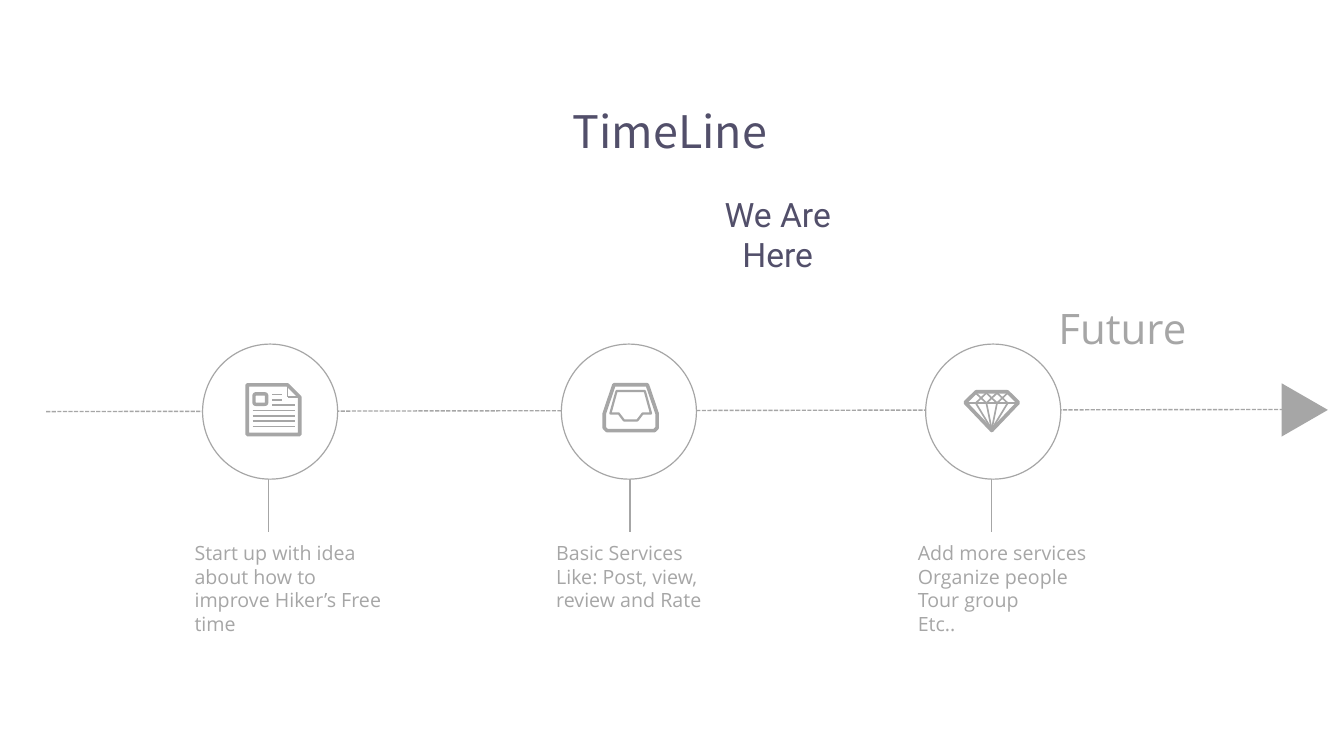
from pptx import Presentation
from pptx.dml.color import RGBColor
from pptx.enum import dml, shapes, text
from pptx.util import Pt
from lxml import etree

COLORS = {"grey": "A6A6A6", "purple": "524F6A", "white": "FFFFFF"}
GREY, PURPLE, WHITE = (RGBColor.from_string(c) for c in COLORS.values())
A = "{http://schemas.openxmlformats.org/drawingml/2006/main}"
LEFT, CENTER = text.PP_ALIGN.LEFT, text.PP_ALIGN.CENTER

prs = Presentation()
prs.slide_width, prs.slide_height = Pt(960), Pt(540)
s = prs.slides.add_slide(prs.slide_layouts[5])


def add_line(x1, y1, x2, y2, width=1):
    line = s.shapes.add_connector(shapes.MSO_CONNECTOR.STRAIGHT, Pt(x1), Pt(y1), Pt(x2), Pt(y2))
    line.line.color.rgb = GREY
    line.line.width = Pt(width)
    etree.SubElement(line._element.spPr, A + "effectLst")
    return line


def write(sp, lines, font, size, color, align):
    tf = sp.text_frame
    tf.word_wrap = True
    tf.auto_size = text.MSO_AUTO_SIZE.NONE
    tf.vertical_anchor = text.MSO_ANCHOR.TOP
    tf.text = "\n".join(lines)
    for p in tf.paragraphs:
        p.alignment = align
        for r in p.runs:
            r.font.name, r.font.size, r.font.color.rgb = font, Pt(size), color


title = s.shapes.title
title.left, title.top, title.width, title.height = Pt(379), Pt(70.5), Pt(199), Pt(46)
write(title, ["TimeLine"], "Noto Sans CJK SC", 32, PURPLE, CENTER)

axis = add_line(33, 294, 916, 292.5)
axis.line.dash_style = dml.MSO_LINE.SQUARE_DOT
head = s.shapes.add_shape(shapes.MSO_SHAPE.ISOSCELES_TRIANGLE, Pt(913), Pt(276.3), Pt(38), Pt(33))
head.rotation = 90
head.shadow.inherit = False
head.fill.solid()
head.fill.fore_color.rgb = GREY
head.line.fill.background()

stages = [
    (144.7, ["Start up with idea about how to improve Hiker’s Free time"]),
    (401, ["Basic Services", "Like: Post, view, review and Rate"]),
    (661.2, ["Add more services", "Organize people", "Tour group", "Etc.."]),
]
first_stem, stem_gap, circle_size = 191.7, 258.3, 96.5
for i, (circle_left, lines) in enumerate(stages):
    stem = first_stem + stem_gap * i
    add_line(stem, 301.5, stem, 380)
    label = s.shapes.add_textbox(Pt(stem - 59.8), Pt(383), Pt(156), Pt(75))
    write(label, lines, "Open Sans", 14, GREY, LEFT)
    circle = s.shapes.add_shape(
        shapes.MSO_SHAPE.OVAL, Pt(circle_left), Pt(245.8), Pt(circle_size), Pt(circle_size))
    circle.shadow.inherit = False
    circle.fill.solid()
    circle.fill.fore_color.rgb = WHITE
    circle.line.color.rgb = GREY
    circle.line.width = Pt(0.85)

news_x, news_y = 195.4, 292.6
tray_x, tray_y = 450.5, 291.2
gem_x, gem_y = 708.4, 293.7

page_w, page_h, fold = 37.6, 35.4, 8.8
page = s.shapes.add_shape(
    shapes.MSO_SHAPE.SNIP_1_RECTANGLE,
    Pt(news_x - page_w / 2), Pt(news_y - page_h / 2), Pt(page_w), Pt(page_h))
page.adjustments[0] = fold / page_h
photo = s.shapes.add_shape(
    shapes.MSO_SHAPE.ROUNDED_RECTANGLE, Pt(news_x - 13.9), Pt(news_y - 11.3), Pt(9), Pt(7.5))
outlines = [(page, 2.6), (photo, 2.4)]

half_outlines = [
    (tray_x, tray_y, 2.6, [(11.9, -16.4), (18.9, 4.3), (18.9, 14.4), (16.9, 16.4)]),
    (tray_x, tray_y, 1.6, [(10.1, -11.9), (14.5, 4.1), (8.6, 4.1), (4.8, 9.1)]),
    (gem_x, gem_y, 2.6, [(11.2, -13.8), (19, -6.1), (0, 13.8)]),
]
for x, y, width, right_half in half_outlines:
    left_half = [(-dx, dy) for dx, dy in reversed(right_half)]
    points = [(Pt(x + dx), Pt(y + dy)) for dx, dy in right_half + left_half]
    builder = s.shapes.build_freeform(*points[0])
    builder.add_line_segments(points[1:])
    outlines.append((builder.convert_to_shape(), width))

for sp, width in outlines:
    sp.shadow.inherit = False
    sp.fill.background()
    sp.line.color.rgb = GREY
    sp.line.width = Pt(width)

fold_x, fold_y = news_x + page_w / 2 - fold, news_y - page_h / 2 + fold
add_line(fold_x, fold_y - fold, fold_x, fold_y, 1.2)
add_line(fold_x, fold_y, fold_x + fold, fold_y, 1.2)

row_gap, text_right = 3.8, news_x + 15
for row in range(7):
    y = news_y - 10.8 + row_gap * row
    row_left = news_x - (1 if row < 3 else 15)
    row_right = news_x + 6 if row < 2 else text_right
    add_line(row_left, y, row_right, y, 1.2)

rim_y, girdle_y, tip_y = gem_y - 13, gem_y - 5.8, gem_y + 13
facets = [gem_x - 11.4 + 7.6 * i for i in range(4)]
add_line(gem_x - 18, girdle_y, gem_x + 18, girdle_y, 1.2)
for x in facets:
    add_line(x, girdle_y, gem_x, tip_y, 1.2)
for left, right in zip(facets, facets[1:]):
    add_line(left, rim_y, right, girdle_y, 1.2)
    add_line(right, rim_y, left, girdle_y, 1.2)

future = s.shapes.add_textbox(Pt(749), Pt(212.5), Pt(199), Pt(44))
write(future, ["Future"], "Open Sans", 30, GREY, LEFT)
here = s.shapes.add_textbox(Pt(484), Pt(134.8), Pt(143), Pt(36))
write(here, ["We Are Here"], "Roboto", 24, PURPLE, CENTER)

prs.save("out.pptx")
